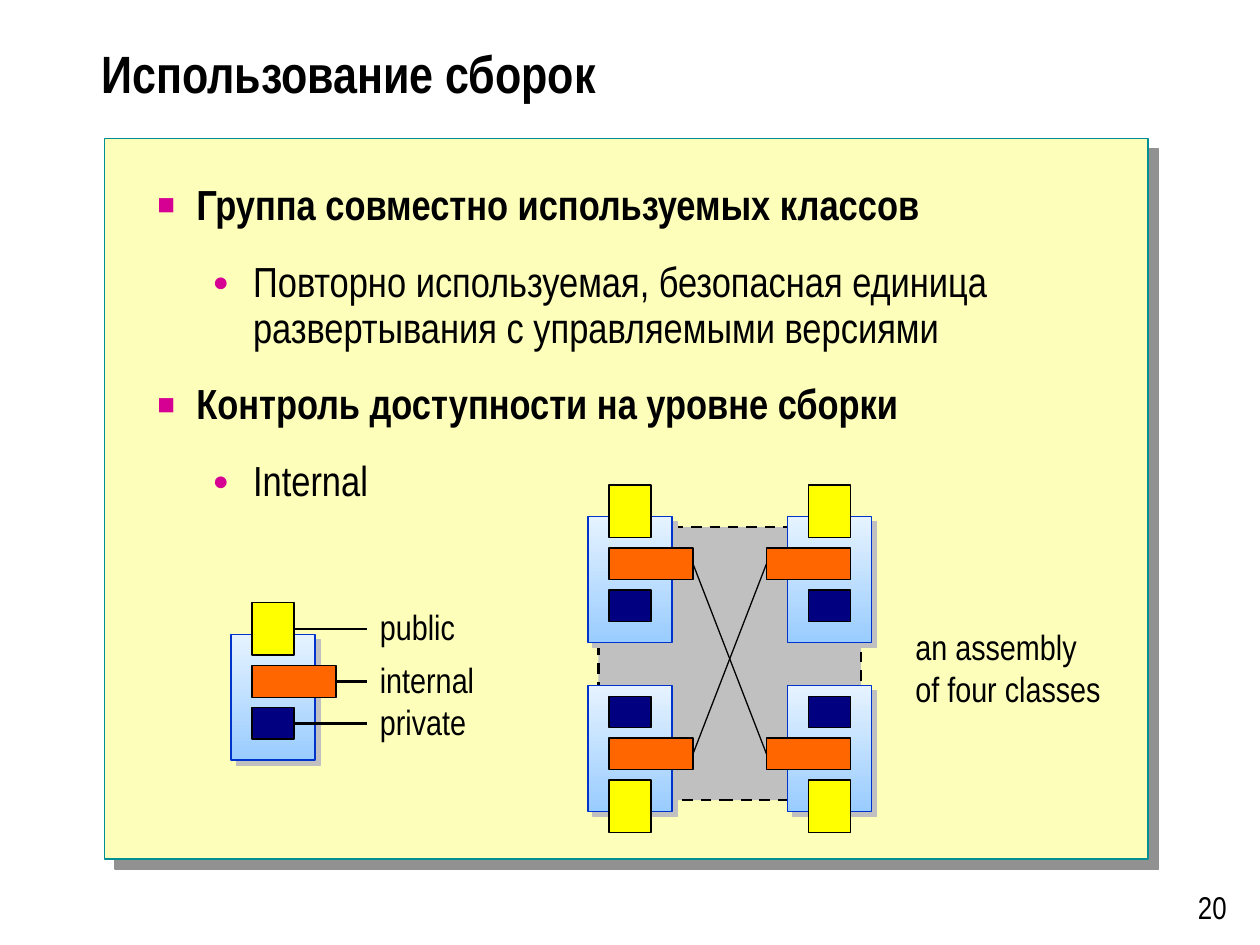
from lxml import etree
from pptx import Presentation
from pptx import util as u
from pptx.dml.color import RGBColor
from pptx.enum import dml, shapes, text
from pptx.oxml.ns import qn

COLORS = {
    "black": "000000", "panel": "FCFEB9", "teal": "009094", "panel_shadow": "919191",
    "bullet": "D60093", "grey": "C0C0C0", "blue": "0033CC", "sky_top": "E6F3FF",
    "sky": "99CCFF", "public": "FFFF00", "internal": "FF6600", "private": "000080",
}
FONT = "Arial Narrow"
COLS, ROWS = 120, 90  # grid cells are 1/12 inch

# Class members: column and row offset from the class body, width, height
MEMBERS = {"public": (2, -3, 4, 5), "internal": (2, 3, 8, 3), "private": (2, 7, 4, 3)}
BODY_W, BODY_H = 8, 12
# Bullet levels: sign, size in percent, left margin in inches, hang in inches, bold
LEVELS = [("■", 70, 0.31, 0.31, True), ("●", 65, 0.76, 0.32, False)]


def rgb(name):
    return RGBColor.from_string(COLORS[name])


class Deck:
    def __init__(self):
        self.prs = Presentation()
        self.prs.slide_width, self.prs.slide_height = u.Inches(10), u.Inches(7.5)
        self.s = self.prs.slides.add_slide(self.prs.slide_layouts[6])

    def x(self, col):
        return round(self.prs.slide_width * col / COLS)

    def y(self, row):
        return round(self.prs.slide_height * row / ROWS)

    def box(self, col, row, w, h, fill, line="black", width=0.75, shadow=None):
        """Rectangle; shadow is (colour, distance in points)."""
        sp = self.s.shapes.add_shape(shapes.MSO_SHAPE.RECTANGLE,
                                     self.x(col), self.y(row), self.x(w), self.y(h))
        sp.shadow.inherit = False
        if isinstance(fill, tuple):
            sp.fill.gradient()
            sp.fill.gradient_angle = 270
            for stop, name in zip(sp.fill.gradient_stops, fill):
                stop.color.rgb = rgb(name)
        else:
            sp.fill.solid()
            sp.fill.fore_color.rgb = rgb(fill)
        sp.line.color.rgb = rgb(line)
        sp.line.width = u.Pt(width)
        if shadow:
            name, dist = shadow
            effects = sp._element.spPr.find(qn("a:effectLst"))
            outer = etree.SubElement(effects, qn("a:outerShdw"), dist=str(u.Pt(dist)),
                                     dir="2700000", algn="ctr", rotWithShape="0")
            etree.SubElement(outer, qn("a:srgbClr"), val=COLORS[name])
        return sp

    def text(self, col, row, w, h, lines, size, bold=False,
             anchor=text.MSO_ANCHOR.TOP, align=text.PP_ALIGN.LEFT, spacing=1.0):
        tf = self.s.shapes.add_textbox(self.x(col), self.y(row),
                                       self.x(w), self.y(h)).text_frame
        tf.word_wrap, tf.vertical_anchor = True, anchor
        tf.text = "\n".join(lines)
        for p in tf.paragraphs:
            p.alignment, p.line_spacing = align, spacing
            for r in p.runs:
                r.font.name, r.font.size, r.font.bold = FONT, u.Pt(size), bold
                r.font.color.rgb = rgb("black")
        return tf

    def bullets(self, col, row, w, h, items, size):
        tf = self.text(col, row, w, h, [line for _, line in items], size, spacing=0.9)
        for i, (p, (level, _)) in enumerate(zip(tf.paragraphs, items)):
            sign, percent, margin, hang, bold = LEVELS[level]
            pPr = p._p.get_or_add_pPr()
            pPr.set("marL", str(u.Inches(margin)))
            pPr.set("indent", str(-u.Inches(hang)))
            color = etree.SubElement(pPr, qn("a:buClr"))
            etree.SubElement(color, qn("a:srgbClr"), val=COLORS["bullet"])
            etree.SubElement(pPr, qn("a:buSzPct"), val=str(percent * 1000))
            etree.SubElement(pPr, qn("a:buFont"), typeface="Arial")
            etree.SubElement(pPr, qn("a:buChar"), char=sign)
            p.level = level
            p.runs[0].font.bold = bold
            if i:
                p.space_before = u.Pt(18)

    def line(self, start, width, end=None, end_col=None):
        """Line from the right side of a box to another box, or level to a column."""
        mid = start.top + start.height // 2
        cx = self.s.shapes.add_connector(shapes.MSO_CONNECTOR.STRAIGHT,
                                         start.left + start.width, mid,
                                         self.x(end_col or 0), mid)
        cx.begin_connect(start, 3)
        if end is not None:
            cx.end_connect(end, 1)
        cx.line.color.rgb = rgb("black")
        cx.line.width = u.Pt(width)
        etree.SubElement(cx._element.spPr, qn("a:effectLst"))

    def class_figure(self, col, row, mirror=False, flip=False):
        """Class body with its members, by name; mirror swaps sides, flip turns it over."""
        self.box(col, row, BODY_W, BODY_H, ("sky_top", "sky"), "blue", shadow=("grey", 4.2))
        members = {}
        for name, (dx, dy, w, h) in MEMBERS.items():
            if mirror:
                dx = BODY_W - dx - w
            if flip:
                dy = BODY_H - 1 - dy - h
            members[name] = self.box(col + dx, row + dy, w, h, name)
        return members


def main():
    d = Deck()

    # Panel, title and bullets
    d.box(9.95, 13.2, 99.4, 68.6, "panel", "teal", 1, ("panel_shadow", 8.5))
    d.text(8.5, 2, 107.5, 11, ["Использование сборок"], 30, bold=True,
           anchor=text.MSO_ANCHOR.MIDDLE, spacing=0.8)
    d.bullets(13.8, 17, 94.4, 63.6, [
        (0, "Группа совместно используемых классов"),
        (1, "Повторно используемая, безопасная единица "
            "развертывания с управляемыми версиями"),
        (0, "Контроль доступности на уровне сборки"),
        (1, "Internal"),
    ], 24)

    # Assembly of four classes
    d.text(86, 59, 23, 9.2, ["an assembly", "of four classes"], 20)
    assembly = d.box(57, 50.2, 25, 26, "grey", width=1.5)
    assembly.line.dash_style = dml.MSO_LINE.DASH
    corners = {(right, low): d.class_figure(75 if right else 56, 65.3 if low else 49.2,
                                            mirror=right, flip=low)
               for low in (False, True) for right in (False, True)}
    for low in (False, True):
        d.line(corners[False, low]["internal"], 0.75,
               end=corners[True, not low]["internal"])

    # Legend: one class with labelled members
    label_col, label_h = 35, 5.2
    for name, sp in d.class_figure(22, 60.4).items():
        middle = (sp.top + sp.height / 2) / d.prs.slide_height * ROWS - 0.2
        d.text(label_col, middle - label_h / 2, 15, label_h, [name], 20,
               anchor=text.MSO_ANCHOR.MIDDLE)
        d.line(sp, 1.5, end_col=label_col)

    # Slide number
    d.text(108, 84, 10, 4.8, ["20"], 18, align=text.PP_ALIGN.RIGHT)

    d.prs.save("out.pptx")


if __name__ == "__main__":
    main()
